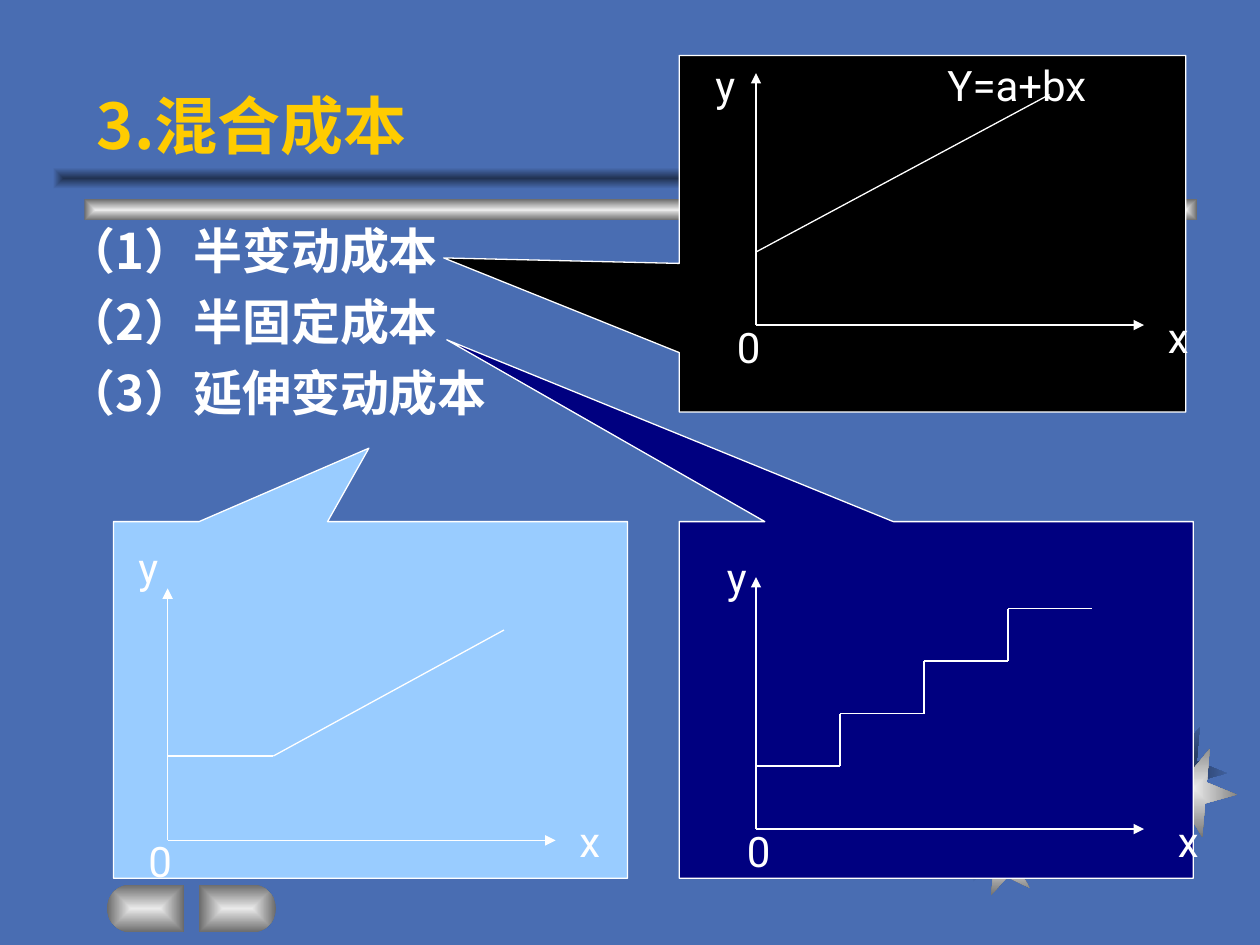
import math
from dataclasses import dataclass

import pptx
import pptx.util
import pptx.dml.color
import pptx.enum.dml
import pptx.enum.shapes
import pptx.enum.text
import pptx.oxml.ns
import lxml.etree

Inches = pptx.util.Inches
Pt = pptx.util.Pt
SHAPE = pptx.enum.shapes.MSO_SHAPE
ANCHOR = pptx.enum.text.MSO_ANCHOR
COLORS = {"back": "496DB2", "shade": "213252", "light": "EAEAEA", "dark": "6B6B6B",
          "gold": "FFCC00", "white": "FFFFFF", "black": "000000", "navy": "000080",
          "sky": "99CCFF"}
METAL = ("light", "dark")
SHADOW = ("shade", "back")
CJK = "Noto Sans CJK SC"
Point = tuple[float, float]


@dataclass
class Star:
    left: float
    top: float
    size: float
    turn: float
    tones: tuple[str, str]


@dataclass
class Label:
    text: str
    left: float
    top: float
    width: float


@dataclass
class Graph:
    box: tuple[float, float, float, float]
    tip: Point  # callout point, as shares of the box from its centre
    fill: str
    zero: Point  # where the axes meet
    curve: list[Point]
    labels: list[Label]


STARS = [
    Star(7.58, 6.47, 0.5, 349, SHADOW), Star(8.41, 5.85, 0.46, 0, SHADOW),
    Star(9.06, 5.75, 0.67, 22, SHADOW), Star(7.72, 6.58, 0.5, 349, METAL),
    Star(8.49, 5.94, 0.46, 0, METAL), Star(9.14, 5.92, 0.67, 22, METAL),
]


def stairs(left: float, base: float, run: float, rise: float, count: int) -> list[Point]:
    points = []
    for step in range(count):
        level = base - step * rise
        points += [(left + step * run, level), (left + (step + 1) * run, level)]
    return points


GRAPHS = [
    Graph((5.39, 0.44, 4.02, 2.83), (-0.965, 0.068), "black", (6, 2.58),
          [(6, 2), (8.33, 0.75)],
          [Label("x", 9.17, 2.42, 0.25), Label("y", 5.58, 0.42, 0.42),
           Label("0", 5.75, 2.5, 0.25), Label("Y=a+bx", 7.42, 0.42, 1.92)]),
    Graph((5.39, 4.14, 4.08, 2.83), (-0.952, -1.01), "navy", (6, 6.58),
          stairs(6, 6.08, 2 / 3, 5 / 12, 4),
          [Label("x", 9.25, 6.42, 0.25), Label("y", 5.67, 4.33, 0.42),
           Label("0", 5.83, 6.5, 0.25)]),
    Graph((0.9, 4.14, 4.08, 2.83), (-0.003, -0.706), "sky", (1.33, 6.67),
          [(1.33, 6), (2.17, 6), (4, 5)],
          [Label("x", 4.5, 6.42, 0.25), Label("y", 1, 4.25, 0.42),
           Label("0", 1.08, 6.58, 0.25)]),
]


def rgb(name: str) -> pptx.dml.color.RGBColor:
    return pptx.dml.color.RGBColor.from_string(COLORS[name])


def add_tag(parent, tag: str, **values: str):
    node = lxml.etree.SubElement(parent, pptx.oxml.ns.qn(tag))
    for key, value in values.items():
        node.set(key, value)
    return node


def apply(target, values: dict) -> None:
    for key, value in values.items():
        setattr(target, key, value)


def shade(shape, tones: tuple[str, str]) -> None:
    """Fill from the centre outward, with no outline."""
    shape.shadow.inherit = False
    shape.line.fill.background()
    shape.fill.gradient()
    for stop, tone, place in zip(shape.fill.gradient_stops, tones, (0, 1)):
        stop.color.rgb = rgb(tone)
        stop.position = place
    grad = shape.fill._xPr.find(pptx.oxml.ns.qn("a:gradFill"))
    grad.remove(grad.find(pptx.oxml.ns.qn("a:lin")))
    ring = add_tag(grad, "a:path", path="rect")
    add_tag(ring, "a:fillToRect", l="50000", t="50000", r="50000", b="50000")


def add_star(slide, star: Star) -> None:
    shape = slide.shapes.add_shape(SHAPE.STAR_5_POINT, Inches(star.left), Inches(star.top),
                                   Inches(star.size), Inches(star.size))
    shape.rotation = star.turn
    shade(shape, star.tones)


def add_bar(slide, left: float, top: float, tones: tuple[str, str]) -> None:
    shade(slide.shapes.add_shape(SHAPE.RECTANGLE, Inches(left), Inches(top),
                                 Inches(8.83), Inches(0.17)), tones)


def add_button(slide, flat: float, side: int) -> None:
    """Flat edge at one end, half circle at the other; side is -1 or 1."""
    radius, middle = 0.19, 7.21
    hub = flat + side * 0.42
    turns = [math.radians(angle) for angle in range(-90, 91, 10)]
    arc = [(Inches(hub + side * radius * math.cos(turn)),
            Inches(middle + radius * math.sin(turn))) for turn in turns]
    edge = Inches(flat)
    path = slide.shapes.build_freeform(edge, Inches(middle - radius), scale=1.0)
    path.add_line_segments(arc + [(edge, Inches(middle + radius))], close=True)
    shade(path.convert_to_shape(), METAL)


def add_text(slide, box: tuple, lines: list[str], size: float, face: str, color: str,
             bold: bool = False, before: float = 0, indent: float = 0,
             anchor=ANCHOR.TOP) -> None:
    frame = slide.shapes.add_textbox(*map(Inches, box)).text_frame
    apply(frame, {"word_wrap": True, "vertical_anchor": anchor})
    for index, line in enumerate(lines):
        para = frame.paragraphs[0] if index == 0 else frame.add_paragraph()
        para.space_before = Pt(before)
        if indent:
            props = para._p.get_or_add_pPr()
            props.set("marL", str(Inches(indent)))
            props.set("indent", str(-Inches(indent)))
        run = para.add_run()
        run.text = line
        apply(run.font, {"size": Pt(size), "bold": bold, "name": face})
        run.font.color.rgb = rgb(color)
        add_tag(run._r.get_or_add_rPr(), "a:ea", typeface=face)


def add_line(slide, start: Point, end: Point, arrow: bool = False) -> None:
    line = slide.shapes.add_connector(pptx.enum.shapes.MSO_CONNECTOR.STRAIGHT,
                                      *map(Inches, start + end))
    line.line.color.rgb = rgb("white")
    line.line.width = Pt(0.75)
    if arrow:
        add_tag(line.line._get_or_add_ln(), "a:tailEnd", type="triangle")
    add_tag(line._element.spPr, "a:effectLst")


def add_graph(slide, graph: Graph) -> None:
    call = slide.shapes.add_shape(SHAPE.RECTANGULAR_CALLOUT, *map(Inches, graph.box))
    call.shadow.inherit = False
    call.adjustments[0], call.adjustments[1] = graph.tip
    call.fill.solid()
    call.fill.fore_color.rgb = rgb(graph.fill)
    call.line.color.rgb = rgb("white")
    call.line.width = Pt(0.75)
    # Axes, then the cost curve
    left, base = graph.zero
    for end in ((left + 3.08, base), (left, base - 2)):
        add_line(slide, graph.zero, end, arrow=True)
    for start, end in zip(graph.curve, graph.curve[1:]):
        add_line(slide, start, end)
    for label in graph.labels:
        add_text(slide, (label.left, label.top, label.width, 0.5), [label.text],
                 24, "Roboto", "white", before=15)


def main() -> None:
    deck = pptx.Presentation()
    apply(deck, {"slide_width": Inches(10), "slide_height": Inches(7.5)})
    slide = deck.slides.add_slide(deck.slide_layouts[6])
    slide.background.fill.solid()
    slide.background.fill.fore_color.rgb = rgb("back")
    # Backdrop
    for star in STARS:
        add_star(slide, star)
    add_bar(slide, 0.67, 1.58, METAL)
    add_bar(slide, 0.42, 1.33, SHADOW)
    add_button(slide, 1.46, -1)
    add_button(slide, 1.58, 1)
    # Title and list
    add_text(slide, (0.67, 0.68, 4.75, 0.66), ["3.混合成本"], 36, CJK, "gold", bold=True,
             anchor=ANCHOR.BOTTOM)
    add_text(slide, (0.43, 1.7, 4, 2.08),
             ["（1）半变动成本", "（2）半固定成本", "（3）延伸变动成本"],
             28, CJK, "white", bold=True, before=7, indent=0.38)
    # Cost graphs
    for graph in GRAPHS:
        add_graph(slide, graph)
    deck.save("out.pptx")


if __name__ == "__main__":
    main()
